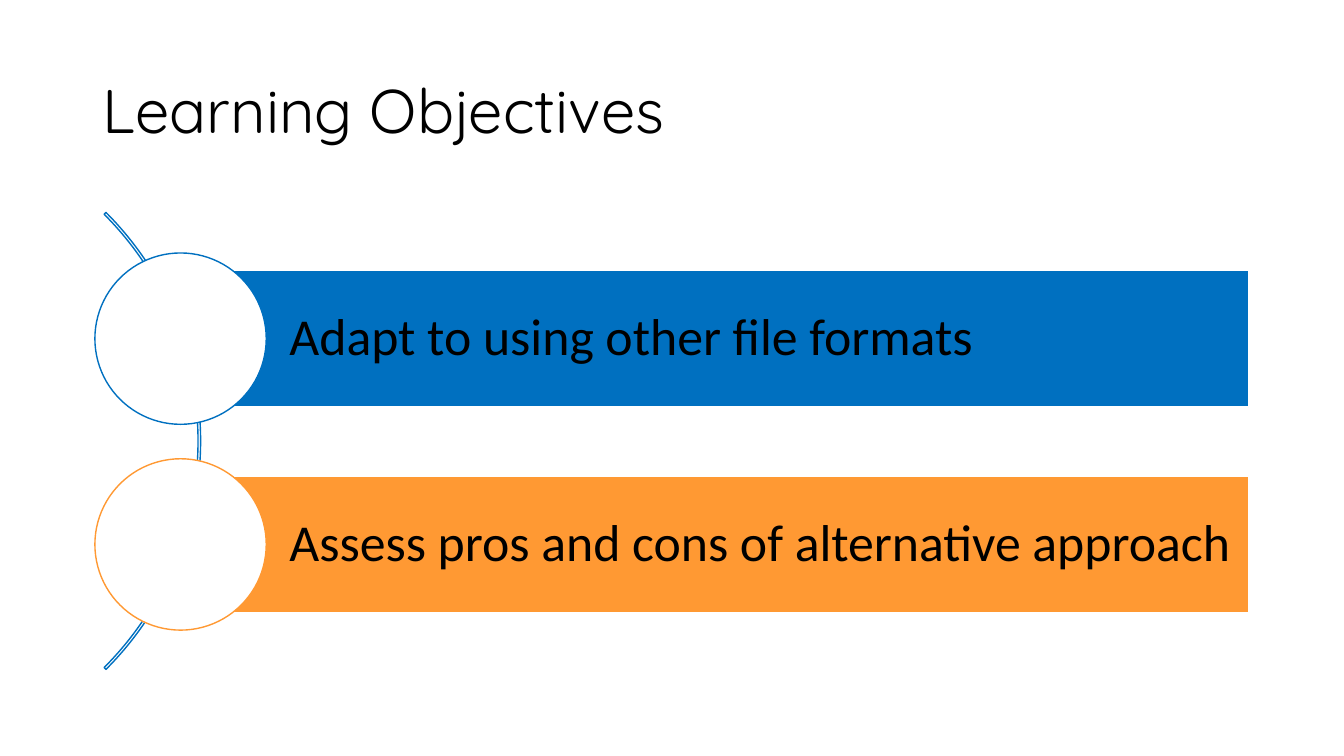
from dataclasses import dataclass

from pptx import Presentation
from pptx.dml.color import RGBColor as RGB
from pptx.enum.shapes import MSO_SHAPE as SHAPE
from pptx.enum.text import MSO_ANCHOR as ANCHOR, PP_ALIGN as ALIGN
from pptx.util import Pt


@dataclass(frozen=True)
class Theme:
    blue: RGB = RGB(0x00, 0x70, 0xC0)
    orange: RGB = RGB(0xFF, 0x99, 0x33)
    white: RGB = RGB(0xFF, 0xFF, 0xFF)
    black: RGB = RGB(0x00, 0x00, 0x00)
    title_font: str = "Quicksand"
    body_font: str = "Calibri"
    title_size: Pt = Pt(44)
    body_size: Pt = Pt(37)


T = Theme()


def add_outlined(s, kind, box, line, fill=None):
    sp = s.shapes.add_shape(kind, *map(Pt, box))
    sp.shadow.inherit = False
    if fill is None:
        sp.fill.background()
    else:
        sp.fill.solid()
        sp.fill.fore_color.rgb = fill
    sp.line.color.rgb = line
    sp.line.width = Pt(1)
    return sp


def write(sp, text, font, size):
    tf = sp.text_frame
    tf.text = text
    tf.word_wrap = True
    tf.vertical_anchor = ANCHOR.MIDDLE
    p = tf.paragraphs[0]
    p.alignment = ALIGN.LEFT
    p.line_spacing = 0.9
    r = p.runs[0]
    r.font.name, r.font.size = font, size
    r.font.color.rgb = T.black


prs = Presentation()
prs.slide_width, prs.slide_height = Pt(960), Pt(540)
s = prs.slides.add_slide(prs.slide_layouts[5])

title = s.shapes.title
title.left, title.top, title.width, title.height = map(Pt, (66, 28.8, 828, 104.4))
write(title, "Learning Objectives", T.title_font, T.title_size)

# Thin arc running behind the circles
arc = add_outlined(s, SHAPE.BLOCK_ARC, (-318.2, 84.2, 461.5, 461.5), T.blue)
for i, value in enumerate((189, 27, 0.004)):
    arc.adjustments[i] = value

# Each circle is centred on the left edge of its bar
BAR_LEFT, BAR_TOP, BAR_W, BAR_H = 129, 193, 763, 97.8
PITCH, CIRCLE = 147, 122.4
objectives = [
    ("Adapt to using other file formats", T.blue),
    ("Assess pros and cons of alternative approach", T.orange),
]
for i, (text, color) in enumerate(objectives):
    top = BAR_TOP + i * PITCH
    bar = add_outlined(s, SHAPE.RECTANGLE, (BAR_LEFT, top, BAR_W, BAR_H), T.white, color)
    write(bar, text, T.body_font, T.body_size)
    tf = bar.text_frame
    tf.margin_left = Pt(77.7)
    tf.margin_top = tf.margin_right = tf.margin_bottom = Pt(7.2)
    circle_top = top + (BAR_H - CIRCLE) / 2
    add_outlined(s, SHAPE.OVAL, (BAR_LEFT - CIRCLE / 2, circle_top, CIRCLE, CIRCLE),
                 color, T.white)

prs.save("out.pptx")
